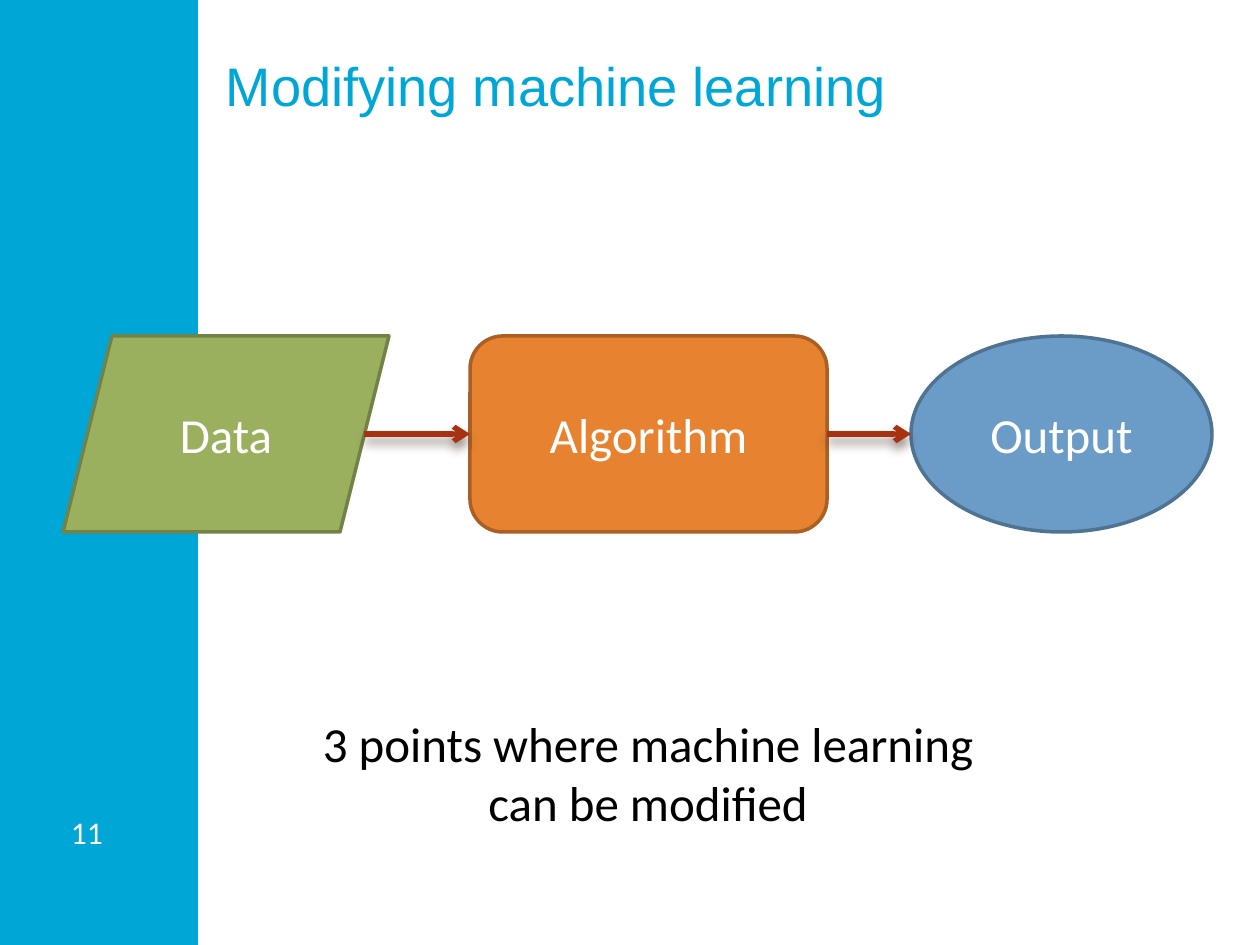
from lxml import etree
from pptx import Presentation
from pptx import util as u
from pptx.dml.color import RGBColor
from pptx.enum import shapes, text
from pptx.oxml import parse_xml
from pptx.oxml.ns import nsdecls, qn

PX = u.Inches(1) / 126
CYAN = RGBColor(0x00, 0xA6, 0xD6)
WHITE = RGBColor(0xFF, 0xFF, 0xFF)
BLACK = RGBColor(0x00, 0x00, 0x00)
GREEN = RGBColor(0x9B, 0xB0, 0x5E)
DARK_GREEN = RGBColor(0x73, 0x82, 0x46)
ORANGE = RGBColor(0xE6, 0x82, 0x30)
DARK_ORANGE = RGBColor(0xAA, 0x60, 0x24)
BLUE = RGBColor(0x6B, 0x9B, 0xC7)
DARK_BLUE = RGBColor(0x4F, 0x73, 0x93)
RED = RGBColor(0xA6, 0x32, 0x12)

SHADOW = f"""<a:effectLst {nsdecls('a')}>
  <a:outerShdw blurRad="{u.Pt(6)}" dist="{u.Pt(4)}" dir="5400000" rotWithShape="0">
    <a:srgbClr val="4E3B30"><a:alpha val="60000"/></a:srgbClr>
  </a:outerShdw>
</a:effectLst>"""


def px(*lengths):
    return [u.Emu(round(length * PX)) for length in lengths]


def write(frame, lines, size, color, font="Calibri", align=text.PP_ALIGN.LEFT):
    frame.word_wrap = True
    for index, line in enumerate(lines):
        para = frame.paragraphs[0] if index == 0 else frame.add_paragraph()
        para.text = line
        para.alignment = align
        para.font.name = font
        para.font.size = u.Pt(size)
        para.font.color.rgb = color


def add_block(page, kind, box, fill, outline=None):
    block = page.shapes.add_shape(kind, *px(*box))
    block.shadow.inherit = False
    block.fill.solid()
    block.fill.fore_color.rgb = fill
    if outline is None:
        block.line.fill.background()
    else:
        block.line.color.rgb = outline
        block.line.width = u.Pt(2)
    return block


def add_sidebar(page, box, number):
    left, top, width, height = box
    add_block(page, shapes.MSO_SHAPE.RECTANGLE, box, CYAN)
    label = page.shapes.add_textbox(*px(left + 62, top + height - 137, 68, 50))
    frame = label.text_frame
    frame.margin_left, frame.margin_right = px(9, 9)
    frame.margin_top, frame.margin_bottom = px(5, 5)
    write(frame, [number], 18, WHITE)


def add_title(page, box, title):
    frame = page.shapes.add_textbox(*px(*box)).text_frame
    frame.margin_left = frame.margin_right = frame.margin_bottom = 0
    frame.margin_top = px(5)[0]
    write(frame, [title], 31, CYAN, "Arial")


def add_arrow(page, start, end, y):
    arrow = page.shapes.add_connector(
        shapes.MSO_CONNECTOR.STRAIGHT, *px(start, y, end, y))
    arrow.line.color.rgb = RED
    arrow.line.width = u.Pt(3)
    etree.SubElement(arrow.line._get_or_add_ln(), qn("a:tailEnd"), type="arrow")
    arrow._element.spPr.append(parse_xml(SHADOW))
    return arrow


def add_flow(page, box):
    """Data, algorithm and output in one row, joined by arrows."""
    left, top, width, height = box
    kinds = shapes.MSO_SHAPE
    steps = [
        ("Data", kinds.PARALLELOGRAM, 0, 326, GREEN, DARK_GREEN),
        ("Algorithm", kinds.ROUNDED_RECTANGLE, 407, 357, ORANGE, DARK_ORANGE),
        ("Output", kinds.OVAL, width - 301, 301, BLUE, DARK_BLUE),
    ]
    blocks = []
    for label, kind, offset, extent, fill, outline in steps:
        block = add_block(
            page, kind, (left + offset, top, extent, height), fill, outline)
        block.text_frame.vertical_anchor = text.MSO_ANCHOR.MIDDLE
        write(block.text_frame, [label], 28, WHITE, align=text.PP_ALIGN.CENTER)
        blocks.append(block)

    algorithm = blocks[1]
    middle = top + height / 2
    slant = height / 8  # inset of the parallelogram's side at mid height
    incoming = add_arrow(page, left + 326 - slant, left + 407, middle)
    incoming.end_connect(algorithm, 1)
    outgoing = add_arrow(page, left + 407 + 357, left + width - 301, middle)
    outgoing.begin_connect(algorithm, 3)


def add_caption(page, box, lines):
    frame = page.shapes.add_textbox(*px(*box)).text_frame
    frame.auto_size = text.MSO_AUTO_SIZE.SHAPE_TO_FIT_TEXT
    write(frame, lines, 28, BLACK, align=text.PP_ALIGN.CENTER)


def main():
    deck = Presentation()
    deck.slide_width, deck.slide_height = px(1260, 945)
    page = deck.slides.add_slide(deck.slide_layouts[6])
    add_sidebar(page, (0, 0, 198, 945), "11")
    add_title(page, (226, 47, 970, 146), "Modifying machine learning")
    add_flow(page, (63, 336, 1149, 196))
    add_caption(page, (79, 707, 1138, 131),
                ["3 points where machine learning", "can be modified"])
    deck.save("out.pptx")


if __name__ == "__main__":
    main()
